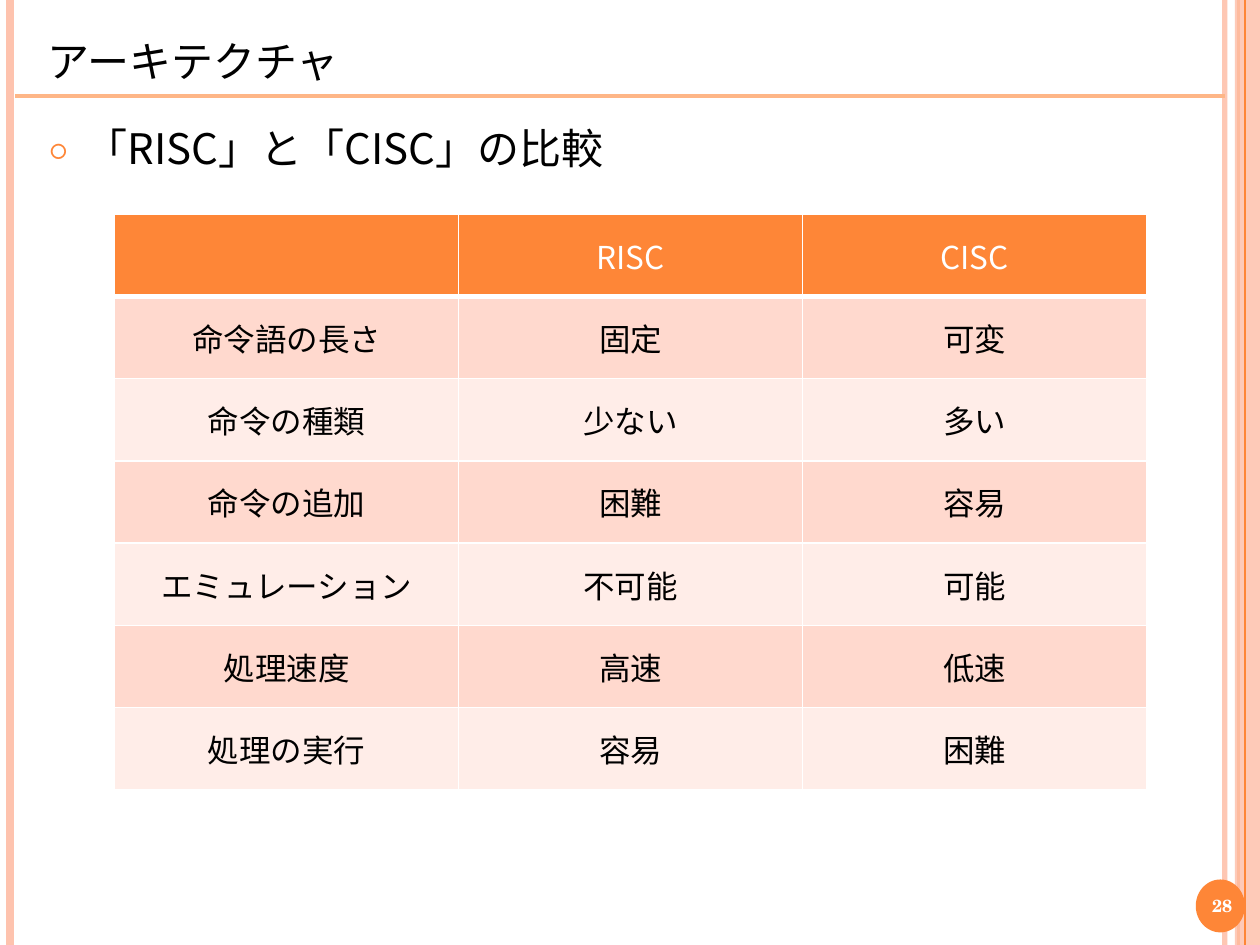
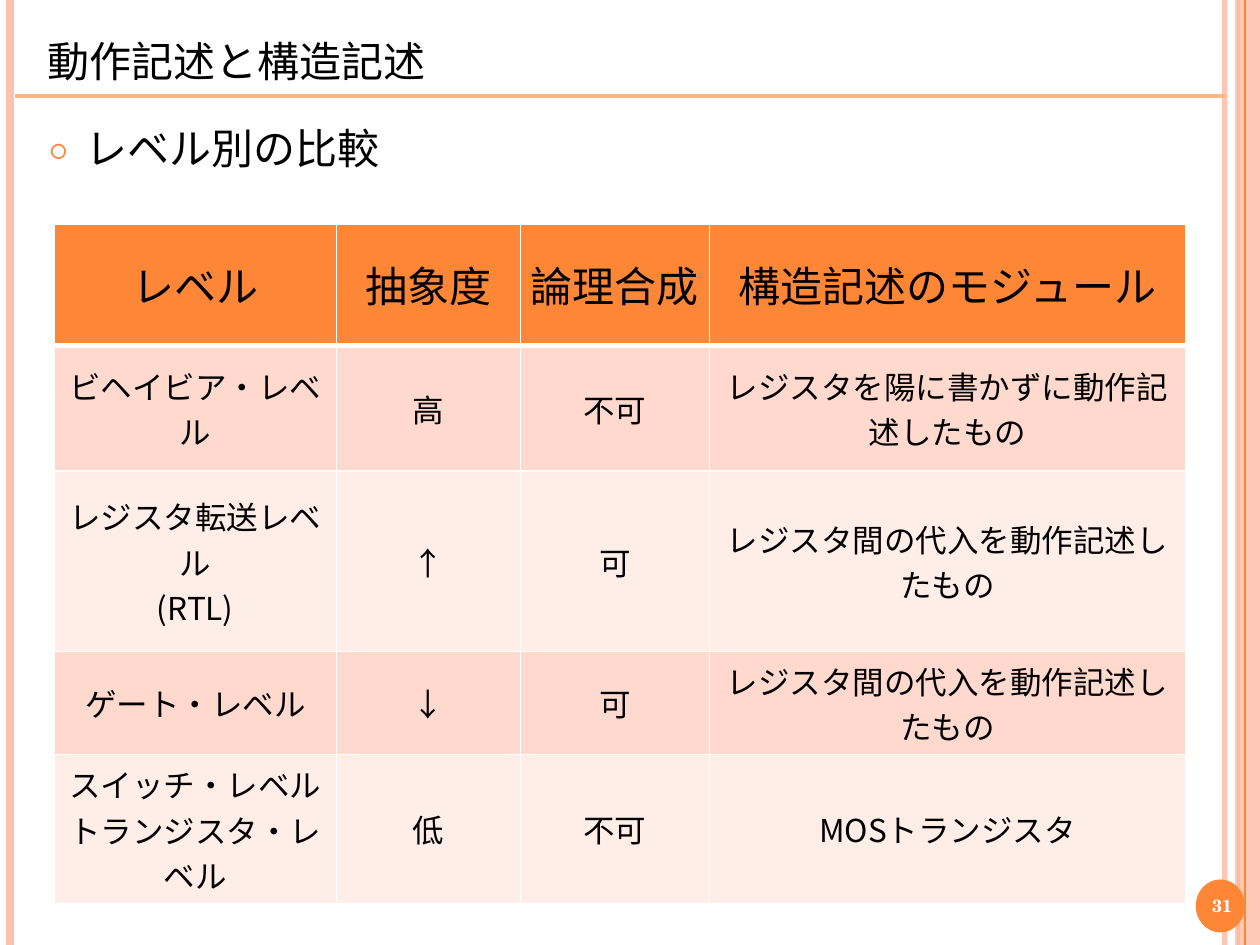
from lxml import etree
from pptx import Presentation
from pptx import util as u
from pptx.dml.color import RGBColor
from pptx.enum import shapes, text
from pptx.oxml import ns

SANS, SERIF = "Noto Sans CJK JP", "TeX Gyre Schola"
INK, WHITE = "000000", "FFFFFF"
ORANGE, PINK, RULE = "FE8637", "FEC3AE", "FEB687"
BANDS = ["FFD9CE", "FFEDE8"]


def color(target, code):
    """Give a fill or font colour the hex value."""
    target.rgb = RGBColor.from_string(code)


def node(root, tag, **attrs):
    """Append a DrawingML child with attributes."""
    return etree.SubElement(root, ns.qn(f"a:{tag}"), attrs)


def paint(fill, code, alpha=100):
    """Set a solid fill with its opacity in percent."""
    fill.solid()
    color(fill.fore_color, code)
    if alpha < 100:
        tint = fill.fore_color._xFill[0]
        node(tint, "alpha", val=str(alpha * 1000))


def style(para, size, code=INK, face=SANS, bold=False):
    """Format every run of a paragraph."""
    for run in para.runs:
        font = run.font
        font.size, font.bold, font.name = u.Pt(size), bold, face
        color(font.color, code)
        node(run._r.get_or_add_rPr(), "ea", typeface=face)


def place(shape, box):
    """Move a shape to a box given in inches."""
    shape.left, shape.top, shape.width, shape.height = map(u.Inches, box)


def line(slide, start, end, code, width, alpha=100):
    """Draw a straight line without a shadow."""
    ends = [u.Inches(n) for n in (*start, *end)]
    rule = slide.shapes.add_connector(shapes.MSO_CONNECTOR.STRAIGHT, *ends)
    rule.line.width = u.Pt(width)
    paint(rule.line.fill, code, alpha)
    node(rule._element.spPr, "effectLst")


def solid(slide, kind, box, code, alpha=100):
    """Draw a filled shape without outline or shadow."""
    shape = slide.shapes.add_shape(kind, *map(u.Inches, box))
    shape.shadow.inherit = False
    shape.line.fill.background()
    paint(shape.fill, code, alpha)


def frame(slide, width=10, height=7.5):
    """Draw the side bands and the rule under the title."""
    def post(x, *look):
        line(slide, (x, 0), (x, height), *look)

    post(width - 0.28, PINK, 3, 93)
    post(0.08, PINK, 4.5)
    post(width - 0.17, ORANGE, 1.5)
    solid(slide, shapes.MSO_SHAPE.RECTANGLE, (width - 0.2, 0, 0.2, height), PINK, 87)
    post(width - 0.12, ORANGE, 0.75)
    line(slide, (0.12, 0.76), (width - 0.28, 0.76), RULE, 2.25)


def badge(slide, number, left=9.49, top=6.98):
    """Draw the page number on its disc."""
    solid(slide, shapes.MSO_SHAPE.OVAL, (left, top, 0.39, 0.42), ORANGE)
    label = slide.shapes.add_textbox(*map(u.Inches, (left, top, 0.42, 0.41)))
    body = label.text_frame
    body.word_wrap = True
    body.vertical_anchor = text.MSO_ANCHOR.MIDDLE
    body.text = str(number)
    para = body.paragraphs[0]
    para.alignment = text.PP_ALIGN.CENTER
    style(para, 10, WHITE, SERIF, True)


def fill_holder(holder, words, box, anchor, size):
    """Place a placeholder, set its text and return the paragraph."""
    place(holder, box)
    body = holder.text_frame
    body.text = words
    body.auto_size = text.MSO_AUTO_SIZE.NONE
    body.vertical_anchor = anchor
    para = body.paragraphs[0]
    para.alignment = text.PP_ALIGN.LEFT
    style(para, size)
    return para


def heading(slide, title, topic, left=0.28, width=9.21):
    """Fill the title and the bulleted topic."""
    para = fill_holder(slide.shapes.title, title, (left, 0.14, width, 0.61),
                       text.MSO_ANCHOR.BOTTOM, 30)
    for run in para.runs:
        run._r.get_or_add_rPr().set("cap", "small")
    para = fill_holder(slide.placeholders[1], topic, (left, 0.92, width, 6.38),
                       text.MSO_ANCHOR.TOP, 24)
    para.space_before = u.Pt(6)
    props = para._p.get_or_add_pPr()
    indent = u.Inches(0.3)
    props.set("marL", str(indent))
    props.set("indent", str(-indent))
    node(node(props, "buClr"), "srgbClr", val=ORANGE)
    node(props, "buSzPct", val="70000")
    node(props, "buFont", typeface=SERIF)
    node(props, "buChar", char="○")


def border(cell, row):
    """Draw white cell borders, thick below the header."""
    props = cell._tc.get_or_add_tcPr()
    thick = {0: "lnB", 1: "lnT"}.get(row)
    for spot, tag in enumerate(("lnL", "lnR", "lnT", "lnB")):
        width = u.Pt(3 if tag == thick else 1)
        edge = etree.Element(ns.qn(f"a:{tag}"), w=str(width))
        node(node(edge, "solidFill"), "srgbClr", val=WHITE)
        props.insert(spot, edge)


def grid(slide, spot, cols, rows, data, head):
    """Build a banded table; head is the header's size, colour and tight flag."""
    size, ink, tight = head
    box = (*spot, sum(cols), sum(rows))
    table = slide.shapes.add_table(len(rows), len(cols), *map(u.Inches, box)).table
    for col, width in zip(table.columns, cols):
        col.width = u.Inches(width)
    for r, (height, words) in enumerate(zip(rows, data)):
        table.rows[r].height = u.Inches(height)
        for c, word in enumerate(words):
            cell = table.cell(r, c)
            cell.text = word
            cell.vertical_anchor = text.MSO_ANCHOR.MIDDLE
            paint(cell.fill, BANDS[(r - 1) % 2] if r else ORANGE)
            border(cell, r)
            if tight and r == 0:
                cell.margin_left = cell.margin_right = u.Inches(0.07)
                cell.margin_top = cell.margin_bottom = 0
            for para in cell.text_frame.paragraphs:
                para.alignment = text.PP_ALIGN.CENTER
                style(para, *((18, INK) if r else (size, ink)))


def page(deck, number, title, topic, **table):
    """Add one slide with a heading and a comparison table."""
    slide = deck.slides.add_slide(deck.slide_layouts[1])
    frame(slide)
    heading(slide, title, topic)
    badge(slide, number)
    grid(slide, **table)


def main():
    """Build both slides and save them."""
    deck = Presentation()
    deck.slide_width, deck.slide_height = u.Inches(10), u.Inches(7.5)
    page(deck, 28, "アーキテクチャ", "「RISC」と「CISC」の比較",
         spot=(0.91, 1.7), cols=[2.73] * 3, rows=[4.57 / 7] * 7,
         head=(18, WHITE, False), data=[
             ("", "RISC", "CISC"),
             ("命令語の長さ", "固定", "可変"),
             ("命令の種類", "少ない", "多い"),
             ("命令の追加", "困難", "容易"),
             ("エミュレーション", "不可能", "可能"),
             ("処理速度", "高速", "低速"),
             ("処理の実行", "容易", "困難")])
    moves = "レジスタ間の代入を動作記述したもの"
    page(deck, 31, "動作記述と構造記述", "レベル別の比較",
         spot=(0.43, 1.78), cols=[2.24, 1.46, 1.5, 3.78],
         rows=[0.96, 1, 1.43, 0.82, 1.18], head=(24, INK, True), data=[
             ("レベル", "抽象度", "論理合成", "構造記述のモジュール"),
             ("ビヘイビア・レベル", "高", "不可", "レジスタを陽に書かずに動作記述したもの"),
             ("レジスタ転送レベル\n(RTL)", "↑", "可", moves),
             ("ゲート・レベル", "↓", "可", moves),
             ("スイッチ・レベル\nトランジスタ・レベル", "低", "不可", "MOSトランジスタ")])
    deck.save("out.pptx")


if __name__ == "__main__":
    main()
